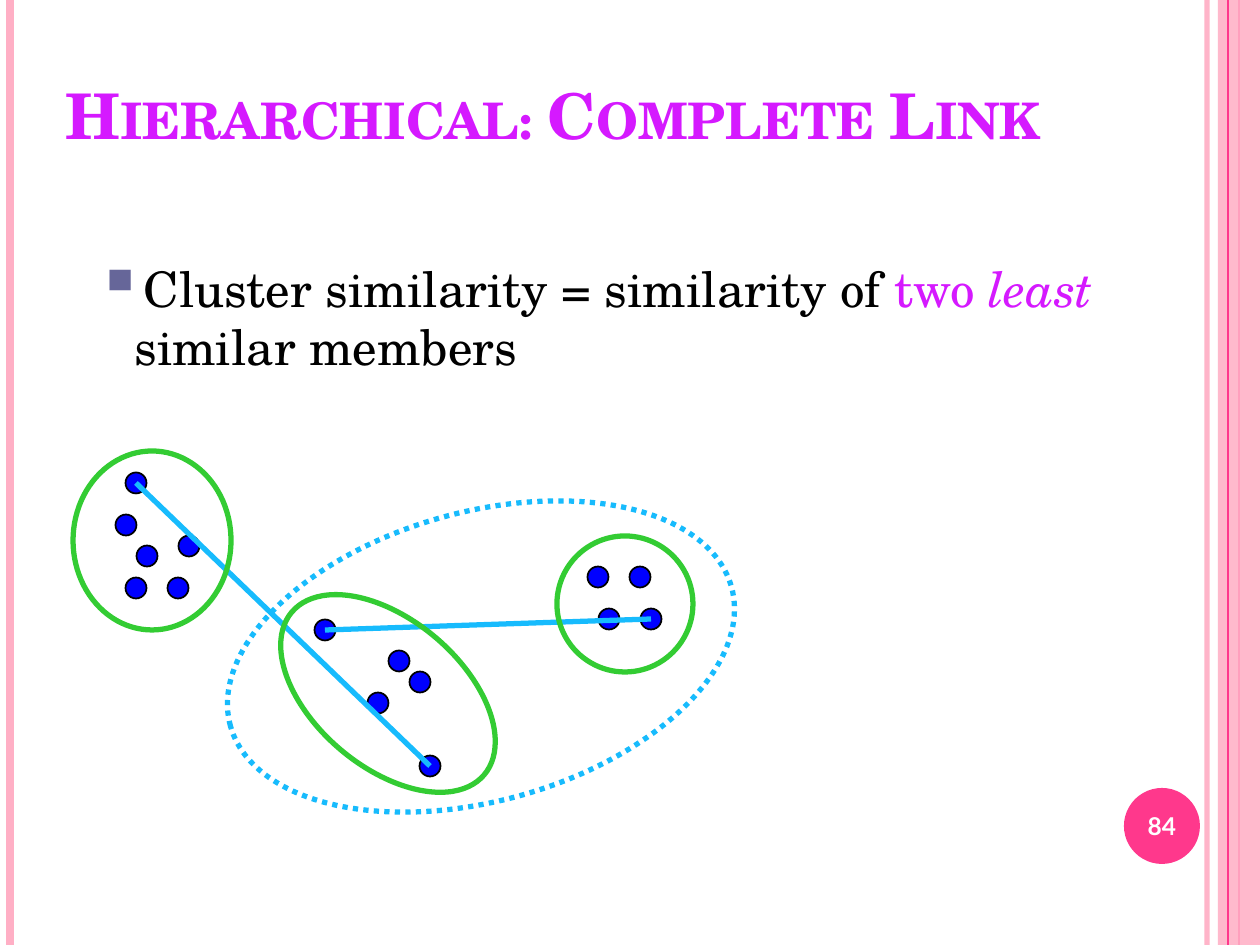
"""Build the slide on complete-link hierarchical clustering."""
from lxml.etree import SubElement
from pptx import Presentation
from pptx.dml.color import RGBColor
from pptx.enum.dml import MSO_LINE
from pptx.enum.shapes import MSO_CONNECTOR, MSO_SHAPE
from pptx.enum.text import MSO_ANCHOR, PP_ALIGN
from pptx.oxml.ns import qn
from pptx.util import Emu, Pt

PX = 914400 / 126
PINK = RGBColor(0xFF, 0xAF, 0xC5)
ROSE = RGBColor(0xFF, 0x38, 0x8C)
PURPLE = RGBColor(0xD5, 0x19, 0xFF)
BLUE = RGBColor(0x00, 0x00, 0xFF)
SKY = RGBColor(0x17, 0xBB, 0xFD)
GREEN = RGBColor(0x33, 0xCC, 0x33)
BLACK = RGBColor(0x00, 0x00, 0x00)
WHITE = RGBColor(0xFF, 0xFF, 0xFF)
SERIF = "TeX Gyre Schola"


def lengths(*pixels):
    return [Emu(round(pixel * PX)) for pixel in pixels]


def add_line(ends, color, width):
    line = page.shapes.add_connector(MSO_CONNECTOR.STRAIGHT, *lengths(*ends))
    line.line.color.rgb = color
    line.line.width = Pt(width)
    SubElement(line._element.spPr, qn("a:effectLst"))
    return line


deck = Presentation()
deck.slide_width, deck.slide_height = lengths(1260, 945)
page = deck.slides.add_slide(deck.slide_layouts[6])

edge = add_line((1207, 0, 1207, 945), PINK, 3)
for x, color, width in ((10, PINK, 4.5), (1239, ROSE, 1.5)):
    add_line((x, 0, x, 945), color, width)

band = page.shapes.add_shape(MSO_SHAPE.RECTANGLE, *lengths(1218, 0, 42, 945))
badge = page.shapes.add_shape(MSO_SHAPE.OVAL, *lengths(1124, 788, 76, 76))
for shape, color in ((band, PINK), (badge, ROSE)):
    shape.shadow.inherit = False
    shape.fill.solid()
    shape.fill.fore_color.rgb = color
    shape.line.fill.background()
for shape, opacity in ((edge, 93), (band, 87)):
    tint = next(shape._element.spPr.iter(qn("a:srgbClr")))
    SubElement(tint, qn("a:alpha"), val=str(opacity * 1000))
add_line((1228, 0, 1228, 945), ROSE, 0.75)

body_format = {"name": SERIF, "size": Pt(28)}
texts = (
    ((1120, 790, 84, 72), MSO_ANCHOR.MIDDLE, PP_ALIGN.CENTER,
     {"name": "Lato", "size": Pt(14), "bold": True},
     [("84", WHITE, False)]),
    ((53, 42, 1071, 116), MSO_ANCHOR.BOTTOM, PP_ALIGN.LEFT,
     {"name": SERIF, "size": Pt(36), "bold": True},
     [("Hierarchical: Complete Link", PURPLE, False)]),
    ((84, 252, 1050, 136), MSO_ANCHOR.TOP, PP_ALIGN.LEFT, body_format,
     [("Cluster similarity = similarity of ", BLACK, False),
      ("two ", PURPLE, False), ("least ", PURPLE, True),
      ("similar members", BLACK, False)]),
)
for place, anchor, alignment, formats, pieces in texts:
    box = page.shapes.add_textbox(*lengths(*place))
    box.text_frame.word_wrap = True
    box.text_frame.vertical_anchor = anchor
    para = box.text_frame.paragraphs[0]
    para.alignment = alignment
    if formats is body_format:
        indent = lengths(38)[0]
        properties = para._p.get_or_add_pPr()
        properties.set("marL", str(indent))
        properties.set("indent", str(-indent))
        bullet_color = SubElement(properties, qn("a:buClr"))
        SubElement(bullet_color, qn("a:srgbClr"), val="666699")
        SubElement(properties, qn("a:buSzPct"), val="130000")
        SubElement(properties, qn("a:buChar"), char="▪")
    for text, color, italic in pieces:
        span = para.add_run()
        span.text = text
        for key, value in formats.items():
            setattr(span.font, key, value)
        span.font.italic = italic
        span.font.color.rgb = color
        if anchor == MSO_ANCHOR.BOTTOM:
            span._r.get_or_add_rPr().set("cap", "small")

left_points = ((136, 483), (126, 525), (189, 546), (147, 556), (136, 588), (178, 588))
middle_points = ((325, 630), (399, 661), (420, 682), (378, 703), (430, 766))
right_points = ((598, 577), (640, 577), (609, 619), (651, 619))
DOT = 21
for x, y in left_points + middle_points + right_points:
    dot = page.shapes.add_shape(MSO_SHAPE.OVAL, *lengths(x - DOT / 2, y - DOT / 2, DOT, DOT))
    dot.shadow.inherit = False
    dot.fill.solid()
    dot.fill.fore_color.rgb = BLUE
    dot.line.color.rgb = BLACK
    dot.line.width = Pt(1)

for ends in ((136, 483, 430, 766), (651, 619, 325, 630)):
    add_line(ends, SKY, 3)

clusters = (
    ((557, 536, 136, 136), 0, GREEN, MSO_LINE.SOLID),
    ((73, 451, 158, 179), 0, GREEN, MSO_LINE.SOLID),
    ((262, 620, 252, 147), 40.2, GREEN, MSO_LINE.SOLID),
    ((221, 512, 520, 289), -15.5, SKY, MSO_LINE.ROUND_DOT),
)
for place, angle, color, dash in clusters:
    outline = page.shapes.add_shape(MSO_SHAPE.OVAL, *lengths(*place))
    outline.shadow.inherit = False
    outline.rotation = angle
    outline.fill.background()
    outline.line.color.rgb = color
    outline.line.width = Pt(3)
    outline.line.dash_style = dash

deck.save("out.pptx")
